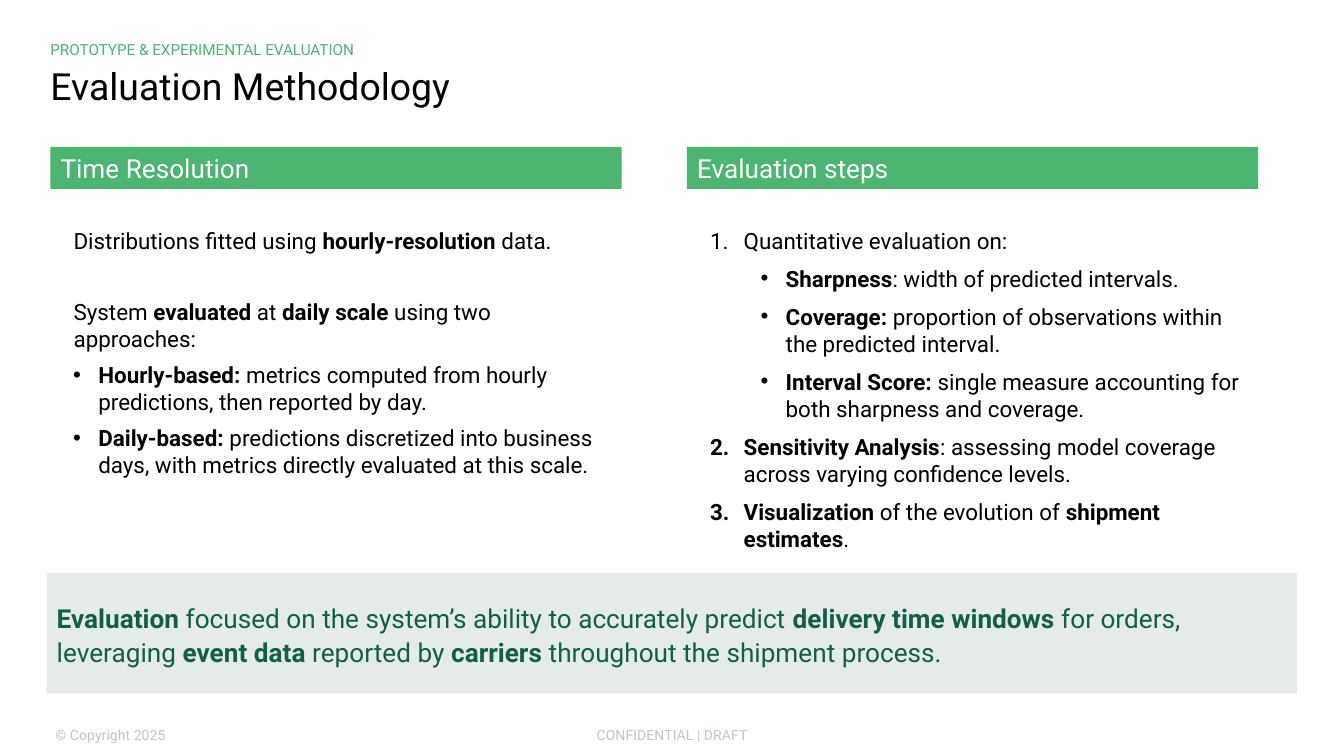
from pptx import Presentation
from pptx.dml.color import RGBColor
from pptx.enum.shapes import MSO_SHAPE
from pptx.enum.text import MSO_ANCHOR, PP_ALIGN
from pptx.oxml.ns import qn
from pptx.util import Pt
from lxml import etree

RECT = MSO_SHAPE.RECTANGLE
TOP, MIDDLE = MSO_ANCHOR.TOP, MSO_ANCHOR.MIDDLE
LEFT, CENTER = PP_ALIGN.LEFT, PP_ALIGN.CENTER

GREEN, DARK_GREEN, PALE = "4CB571", "125E4B", "E5EBE9"
BLACK, WHITE, GRAY = "000000", "FFFFFF", "838E8D"
INSET = 5.4


def color(value):
    return RGBColor.from_string(value)


def add_text(p, text, size=12, fill=BLACK, font="Roboto", alpha=None):
    """Add text to a paragraph; words between ** are bold."""
    for i, part in enumerate(text.split("**")):
        if not part:
            continue
        r = p.add_run()
        r.text = part
        r.font.name, r.font.size, r.font.bold = font, Pt(size), i % 2 == 1
        r.font.color.rgb = color(fill)
        if alpha:
            clr = r._r.find(".//" + qn("a:srgbClr"))
            etree.SubElement(clr, qn("a:alpha"), val=str(alpha * 1000))


def set_list(p, margin, hang=0, mark=None):
    """Indent a paragraph and give it a bullet ("•") or a number ("1.")."""
    pPr = p._p.get_or_add_pPr()
    pPr.set("marL", str(Pt(margin)))
    pPr.set("indent", str(-Pt(hang)))
    if mark == "1.":
        etree.SubElement(pPr, qn("a:buFont"), typeface="+mj-lt")
        etree.SubElement(pPr, qn("a:buAutoNum"), type="arabicPeriod")
    elif mark:
        etree.SubElement(pPr, qn("a:buFont"), typeface="Arial")
        etree.SubElement(pPr, qn("a:buChar"), char=mark)


class Deck:
    def __init__(self, width, height):
        self.prs = Presentation()
        self.prs.slide_width, self.prs.slide_height = Pt(width), Pt(height)
        self.s = self.prs.slides.add_slide(self.prs.slide_layouts[6])

    def frame(self, sp, anchor, insets):
        tf = sp.text_frame
        tf.word_wrap, tf.vertical_anchor = True, anchor
        (tf.margin_left, tf.margin_top,
         tf.margin_right, tf.margin_bottom) = map(Pt, insets)
        return tf

    def box(self, x, y, w, h, anchor=MIDDLE, insets=(0, 0, 0, 0)):
        sp = self.s.shapes.add_textbox(Pt(x), Pt(y), Pt(w), Pt(h))
        return self.frame(sp, anchor, insets)

    def label(self, x, y, w, h, text, align=LEFT, inset=0, **style):
        p = self.box(x, y, w, h, insets=(inset, 0, inset, 0)).paragraphs[0]
        p.alignment = align
        add_text(p, text, **style)
        return p

    def bar(self, x, y, w, h, text, fill, text_fill):
        sp = self.s.shapes.add_shape(RECT, Pt(x), Pt(y), Pt(w), Pt(h))
        sp.shadow.inherit = False
        sp.fill.solid()
        sp.fill.fore_color.rgb = color(fill)
        sp.line.fill.background()
        p = self.frame(sp, MIDDLE, (INSET, 2.7, INSET, 2.7)).paragraphs[0]
        p.alignment = LEFT
        add_text(p, text, size=14, fill=text_fill)
        return p

    def body(self, x, y, w, h, items, styles):
        """Write (style name, text) items, each with its list style."""
        tf = self.box(x, y, w, h, TOP, (INSET, INSET, INSET, 0))
        for i, (name, text) in enumerate(items):
            p = tf.add_paragraph() if i else tf.paragraphs[0]
            level, after, *indent = styles[name]
            p.level, p.space_after = level, Pt(after)
            set_list(p, *indent)
            add_text(p, text)


# Style name: level, space after, margin, hanging indent, mark
STYLES = {
    "lead": (0, 24, 7),
    "plain": (0, 5, 7),
    "bullet": (0, 5, 20.25, 13.5, "•"),
    "number": (0, 6, 25, 18, "1."),
    "sub": (1, 6, 47.5, 13.5, "•"),
}

COLUMNS = [
    ("Time Resolution", [
        ("lead", "Distributions fitted using **hourly-resolution** data."),
        ("plain", "System **evaluated** at **daily scale** using two approaches:"),
        ("bullet", "**Hourly-based:** metrics computed from hourly predictions, "
                   "then reported by day."),
        ("bullet", "**Daily-based:** predictions discretized into business days, "
                   "with metrics directly evaluated at this scale."),
    ]),
    ("Evaluation steps", [
        ("number", "Quantitative evaluation on:"),
        ("sub", "**Sharpness**: width of predicted intervals."),
        ("sub", "**Coverage: **proportion of observations within the predicted "
                "interval."),
        ("sub", "**Interval Score: **single measure accounting for both sharpness "
                "and coverage."),
        ("number", "**Sensitivity Analysis**: assessing model coverage across "
                   "varying confidence levels."),
        ("number", "**Visualization** of the evolution of **shipment estimates**."),
    ]),
]


def main():
    deck = Deck(720, 405)

    # Footer
    footer = dict(size=7.5, fill=GRAY, alpha=50, inset=2.7)
    deck.label(238.5, 386, 243, 15, "CONFIDENTIAL | DRAFT", CENTER, **footer)
    deck.label(27, 386, 214, 15, "© Copyright 2025", **footer)

    # Heading
    p = deck.label(27, 32.5, 666, 29.5, "Evaluation Methodology", size=20)
    p.line_spacing = 0.9
    deck.label(27, 20, 666, 12.5, "PROTOTYPE & EXPERIMENTAL EVALUATION",
               size=8.2, fill=GREEN)

    # Two columns
    left, width, gap = 27, 306, 35
    for i, (heading, items) in enumerate(COLUMNS):
        x = left + i * (width + gap)
        deck.bar(x, 78.75, width, 22.5, heading, GREEN, WHITE)
        deck.body(x, 116, width, 171, items, STYLES)

    # Summary band
    p = deck.bar(25, 307, 670, 64.5,
                 "**Evaluation** focused on the system’s ability to accurately "
                 "predict **delivery time windows** for orders, leveraging "
                 "**event data** reported by **carriers** throughout the "
                 "shipment process.", PALE, DARK_GREEN)
    p.line_spacing, p.space_before = 1.1, Pt(5)

    deck.prs.save("out.pptx")


if __name__ == "__main__":
    main()
